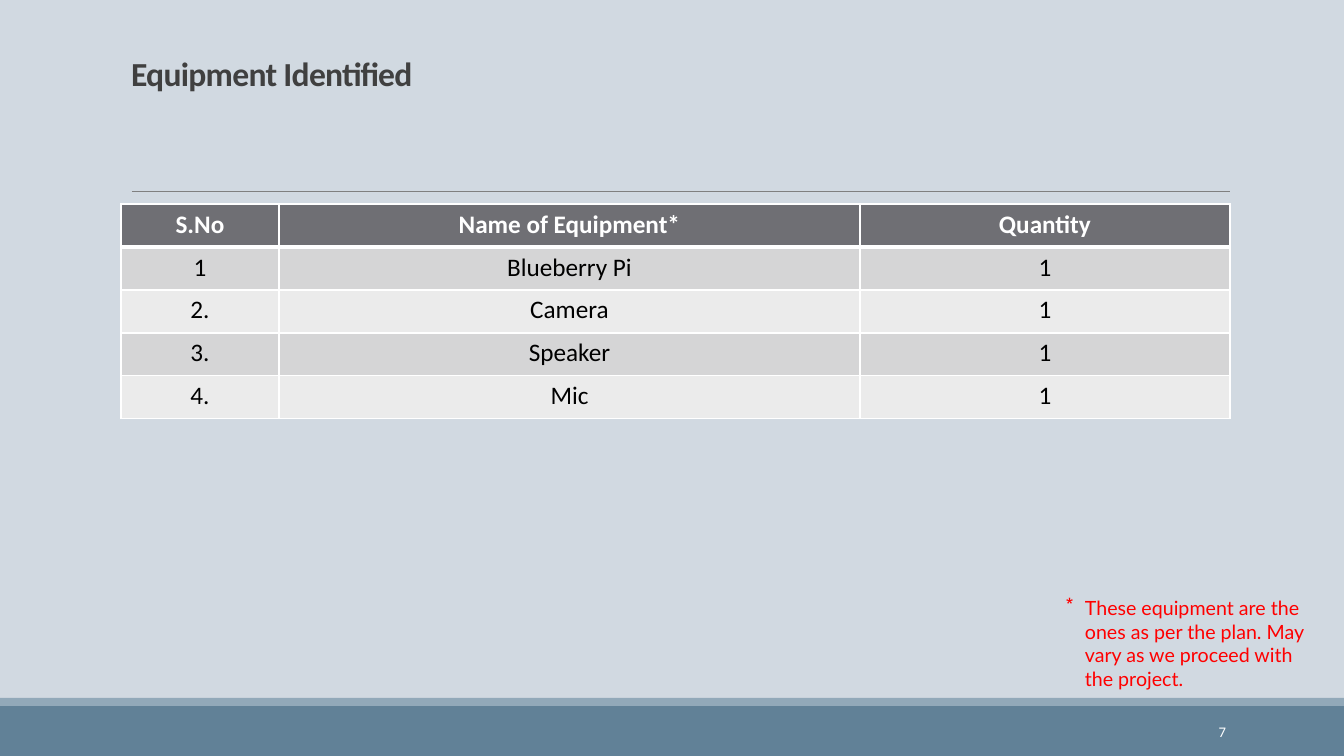
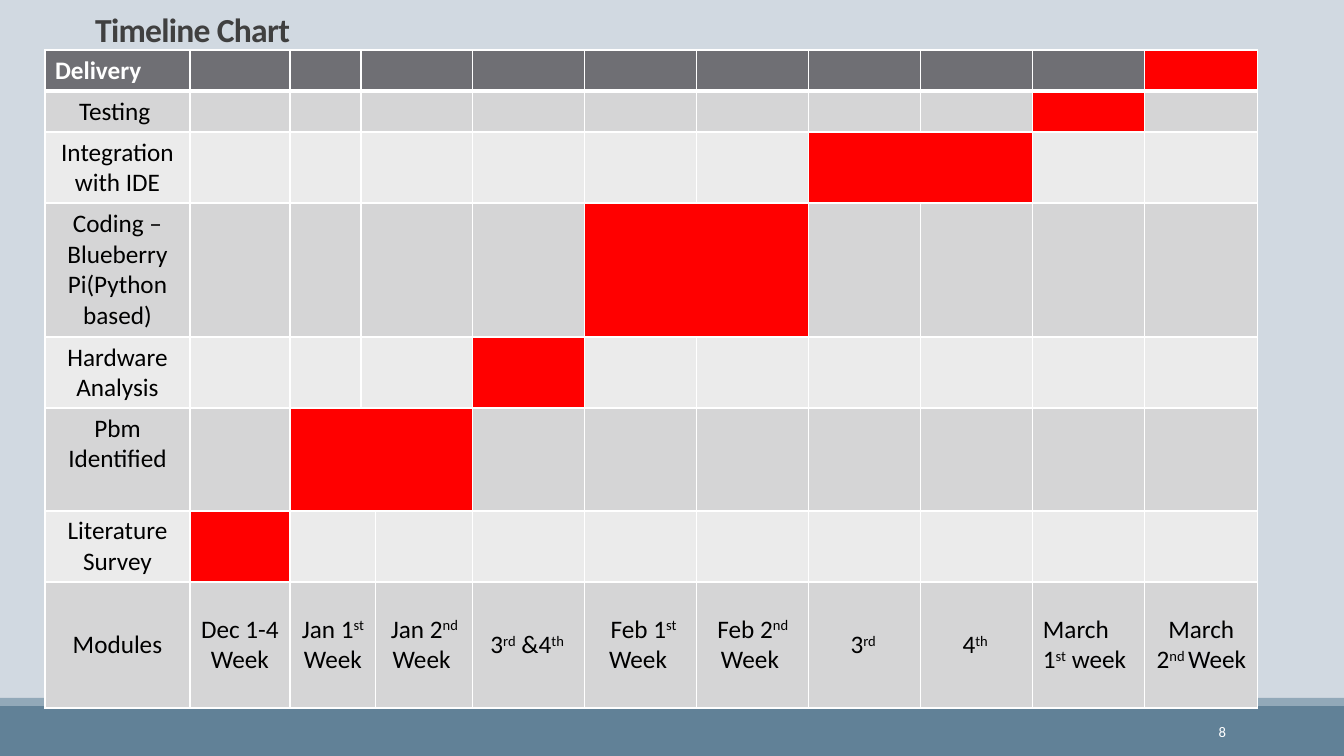
from lxml.etree import SubElement
from pptx import Presentation
from pptx.dml.color import RGBColor
from pptx.enum.shapes import MSO_CONNECTOR, MSO_SHAPE
from pptx.enum.text import MSO_ANCHOR, MSO_AUTO_SIZE, PP_ALIGN
from pptx.oxml import parse_xml
from pptx.oxml.ns import nsdecls, qn
from pptx.util import Emu, Pt

COLORS = {
    "background": "D1D9E1", "band": "618197", "stripe": "92A9B9", "rule": "808080",
    "title": "404040", "header": "6F6F74", "odd": "D5D5D6", "even": "EBEBEB",
    "white": "FFFFFF", "black": "000000", "red": "FF0000",
}
FORMATS = {
    "title": ({"name": "Calibri", "size": Pt(24), "bold": True}, "title"),
    "header": ({"name": "Calibri", "size": Pt(18), "bold": True}, "white"),
    "cell": ({"name": "Calibri", "size": Pt(18), "bold": False}, "black"),
    "number": ({"name": "Calibri", "size": Pt(10.5)}, "white"),
    "note": ({"name": "Lato", "size": Pt(14)}, "red"),
}
EQUIPMENT = [
    ["S.No", "Name of Equipment*", "Quantity"],
    ["1", "Blueberry Pi", "1"],
    ["2.", "Camera", "1"],
    ["3.", "Speaker", "1"],
    ["4.", "Mic", "1"],
]
TASKS = [
    ("Delivery", 41, (11, 11), (3, 4)),
    ("Testing ", 41, (10, 10), (3, 4)),
    ("Integration with IDE", 71, (8, 9), (3, 4)),
    ("Coding – Blueberry Pi(Python based)", 134, (6, 7), (3, 4)),
    ("Hardware Analysis", 71, (5, 5), (3, 4)),
    ("Pbm Identified", 103, (2, 4), (2, 4)),
    ("Literature Survey", 71, (1, 1), (2, 3)),
]
WEEKS = [
    "Modules", "Dec 1-4 Week", "Jan 1^st^ Week", "", "Jan 2^nd^ Week ", "3^rd^ &4^th ^",
    " Feb 1^st^ Week ", "Feb 2^nd^ Week ", "3^rd ^", "4^th ^", "March 1^st^ week",
    "March 2^nd ^Week",
]


def px(value):
    return Emu(round(value * 914400 / 100.8))


def color(name):
    return RGBColor.from_string(COLORS[name])


def assign(target, **values):
    for name, value in values.items():
        setattr(target, name, value)


class SlideWriter:
    """Holds the deck style and draws elements on the current slide."""

    def __init__(self):
        self.deck = Presentation()
        assign(self.deck, slide_width=px(1344), slide_height=px(756))
        fill = self.deck.slide_master.background.fill
        fill.solid()
        fill.fore_color.rgb = color("background")

    def page(self, title, box, number):
        self.slide = self.deck.slides.add_slide(self.deck.slide_layouts[5])
        self.band(706, 50, "band")
        self.band(698, 8, "stripe")
        self.rule(132, 1230, 191)
        self.title(title, box)
        self.text(number, (1092, 712, 144, 40), "number", PP_ALIGN.RIGHT, MSO_ANCHOR.MIDDLE)

    def band(self, top, height, fill):
        band = self.slide.shapes.add_shape(
            MSO_SHAPE.RECTANGLE, 0, px(top), px(1344), px(height))
        band.shadow.inherit = False
        band.fill.solid()
        band.fill.fore_color.rgb = color(fill)
        band.line.fill.background()

    def rule(self, left, right, top):
        rule = self.slide.shapes.add_connector(
            MSO_CONNECTOR.STRAIGHT, px(left), px(top), px(right), px(top))
        rule.line.color.rgb = color("rule")
        rule.line.width = Pt(0.5)
        SubElement(rule._element.spPr, qn("a:effectLst"))

    def title(self, text, box):
        title = self.slide.shapes.title
        assign(title, **dict(zip(("left", "top", "width", "height"), map(px, box))))
        frame = title.text_frame
        assign(frame, word_wrap=True, auto_size=MSO_AUTO_SIZE.NONE,
               vertical_anchor=MSO_ANCHOR.BOTTOM)
        para = frame.paragraphs[0]
        assign(para, alignment=PP_ALIGN.LEFT, line_spacing=0.85)
        self.spans(para, text, "title")
        para.runs[0].font._element.set("spc", "-50")

    def spans(self, para, text, style):
        values, ink = FORMATS[style]
        for index, part in enumerate(text.split("^")):
            if part:
                span = para.add_run()
                span.text = part
                assign(span.font, **values)
                span.font.color.rgb = color(ink)
                if index % 2:
                    span.font._element.set("baseline", "30000")

    def text(self, text, box, style, align=PP_ALIGN.LEFT, anchor=MSO_ANCHOR.TOP):
        frame = self.slide.shapes.add_textbox(*map(px, box)).text_frame
        assign(frame, word_wrap=True, vertical_anchor=anchor)
        para = frame.paragraphs[0]
        para.alignment = align
        self.spans(para, text, style)
        return para

    def note(self, text, box, mark, indent):
        properties = self.text(text, box, "note")._p.get_or_add_pPr()
        properties.set("marL", str(px(indent)))
        properties.set("indent", str(-px(indent)))
        SubElement(properties, qn("a:buChar"), char=mark)

    def table(self, left, top, widths, heights, rows, anchor):
        table = self.slide.shapes.add_table(
            len(heights), len(widths), px(left), px(top),
            px(sum(widths)), px(sum(heights))).table
        for column, width in zip(table.columns, widths):
            column.width = px(width)
        for index, (row, height) in enumerate(zip(table.rows, heights)):
            row.height = px(height)
            fill = "header" if index == 0 else "odd" if index % 2 else "even"
            for cell, text in zip(row.cells, rows[index]):
                cell.vertical_anchor = anchor
                para = cell.text_frame.paragraphs[0]
                para.alignment = PP_ALIGN.CENTER
                self.spans(para, text, "cell" if index else "header")
                self.paint(cell, fill)
                self.borders(cell, top=3 if index == 1 else 1, bottom=1 if index else 3)
        return table

    def paint(self, cell, fill):
        cell.fill.solid()
        cell.fill.fore_color.rgb = color(fill)

    def borders(self, cell, top, bottom):
        properties = cell._tc.get_or_add_tcPr()
        for index, (side, points) in enumerate(zip("LRTB", (1, 1, top, bottom))):
            properties.insert(index, parse_xml(
                f'<a:ln{side} {nsdecls("a")} w="{Pt(points)}"><a:solidFill>'
                f'<a:srgbClr val="{COLORS["white"]}"/></a:solidFill></a:ln{side}>'))

    def merge(self, table, row, first, last):
        table.cell(row, first).merge(table.cell(row, last))


def equipment(writer):
    writer.page("Equipment Identified", (121, 31, 1109, 67), "7")
    writer.table(121, 204, [158, 581, 370], [43] * 5, EQUIPMENT, MSO_ANCHOR.TOP)
    writer.note("These equipment are the ones as per the plan. "
                "May vary as we proceed with the project.", (1056, 591, 267, 105), "*", 19)


def timeline(writer):
    writer.page("Timeline Chart", (85, -20, 1109, 74), "8")
    widths = [145, 100, 71, 15, 97] + [112] * 6 + [113]
    heights = [height for _, height, _, _ in TASKS] + [126]
    rows = [[label] + [""] * 11 for label, _, _, _ in TASKS] + [WEEKS]
    table = writer.table(45, 50, widths, heights, rows, MSO_ANCHOR.MIDDLE)
    for row, (_, _, busy, joined) in enumerate(TASKS):
        for column in range(busy[0], busy[1] + 1):
            writer.paint(table.cell(row, column), "red")
        for first, last in {busy, joined}:
            if first < last:
                writer.merge(table, row, first, last)
    writer.merge(table, 7, 2, 3)
    table.cell(5, 0).vertical_anchor = MSO_ANCHOR.TOP
    for row, column in ((0, 0), (7, 10)):
        table.cell(row, column).text_frame.paragraphs[0].alignment = PP_ALIGN.LEFT


def main():
    writer = SlideWriter()
    equipment(writer)
    timeline(writer)
    writer.deck.save("out.pptx")


if __name__ == "__main__":
    main()
